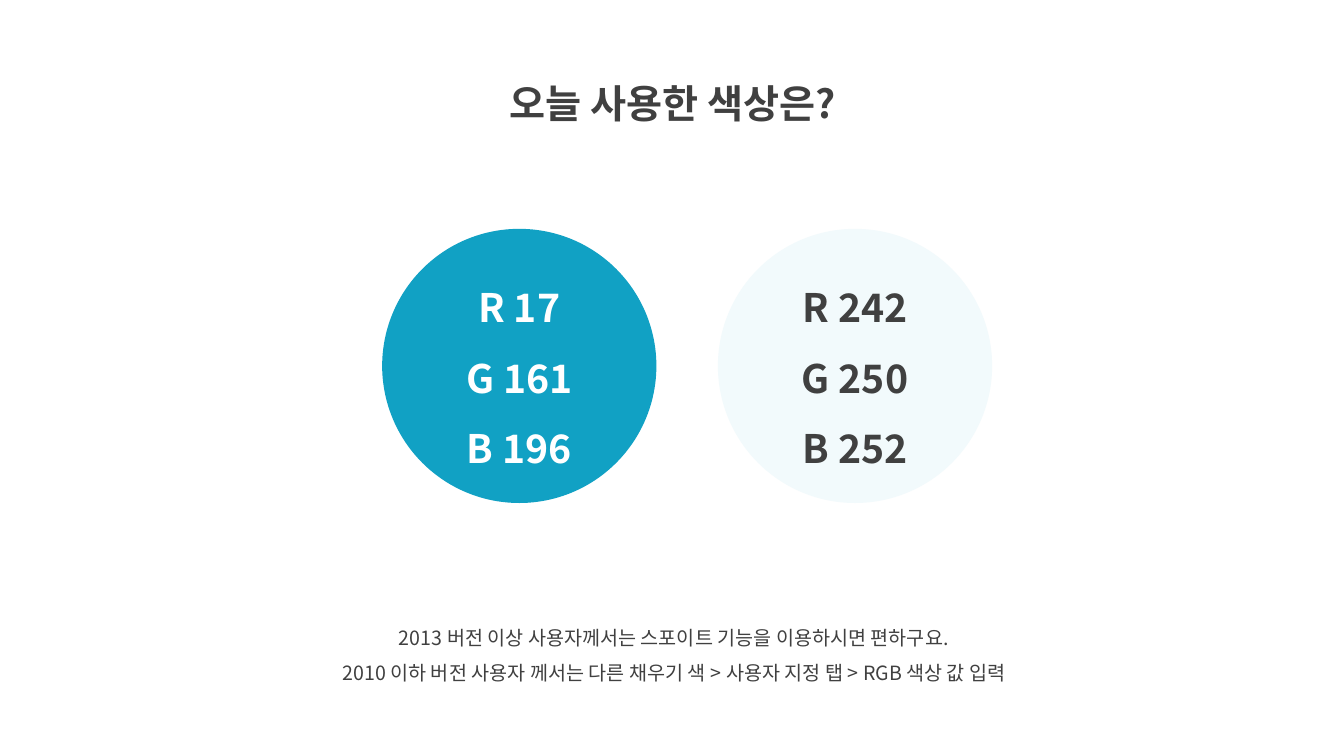
from lxml import etree
from pptx import Presentation
from pptx.dml.color import RGBColor
from pptx.enum.shapes import MSO_SHAPE
from pptx.enum.text import MSO_ANCHOR, PP_ALIGN
from pptx.oxml.ns import qn
from pptx.util import Inches, Pt

OVAL = MSO_SHAPE.OVAL
MIDDLE = MSO_ANCHOR.MIDDLE
CENTER = PP_ALIGN.CENTER
FONT = "Noto Sans CJK KR"
COLORS = {"dark": "404040", "white": "FFFFFF", "teal": "11A1C4", "pale": "F2FAFC"}


def color(name):
    return RGBColor.from_string(COLORS[name])


def write(frame, lines, size, ink, bold):
    frame.word_wrap = True
    frame.text = "\n".join(lines)
    for para in frame.paragraphs:
        para.alignment = CENTER
        para.line_spacing = 1.5
        for run in para.runs:
            font = run.font
            font.name = FONT
            font.size = Pt(size)
            font.bold = bold
            font.color.rgb = color(ink)
            etree.SubElement(font._element, qn("a:ea"), typeface=FONT)


def add_label(slide, box, lines, size, bold=False):
    label = slide.shapes.add_textbox(*map(Inches, box))
    write(label.text_frame, lines, size, "dark", bold)


def add_swatch(slide, left, fill, ink, values):
    swatch = slide.shapes.add_shape(
        OVAL, Inches(left), Inches(2.27), Inches(2.72), Inches(2.72))
    swatch.shadow.inherit = False
    swatch.fill.solid()
    swatch.fill.fore_color.rgb = color(fill)
    swatch.line.fill.background()
    swatch.text_frame.vertical_anchor = MIDDLE
    lines = [f"{key} {value}" for key, value in zip("RGB", values)]
    write(swatch.text_frame, lines, 28, ink, True)


def main():
    deck = Presentation()
    deck.slide_width = Inches(13.33)
    deck.slide_height = Inches(7.5)
    slide = deck.slides.add_slide(deck.slide_layouts[6])

    add_label(slide, (4.36, 0.5, 4.63, 0.72), ["오늘 사용한 색상은?"], 28, True)
    add_label(slide, (2.69, 6.04, 7.99, 0.81), [
        "2013 버전 이상 사용자께서는 스포이트 기능을 이용하시면 편하구요.",
        "2010 이하 버전 사용자 께서는 다른 채우기 색 > 사용자 지정 탭 > RGB 색상 값 입력",
    ], 14)
    add_swatch(slide, 3.79, "teal", "white", (17, 161, 196))
    add_swatch(slide, 7.12, "pale", "dark", (242, 250, 252))

    deck.save("out.pptx")


main()
